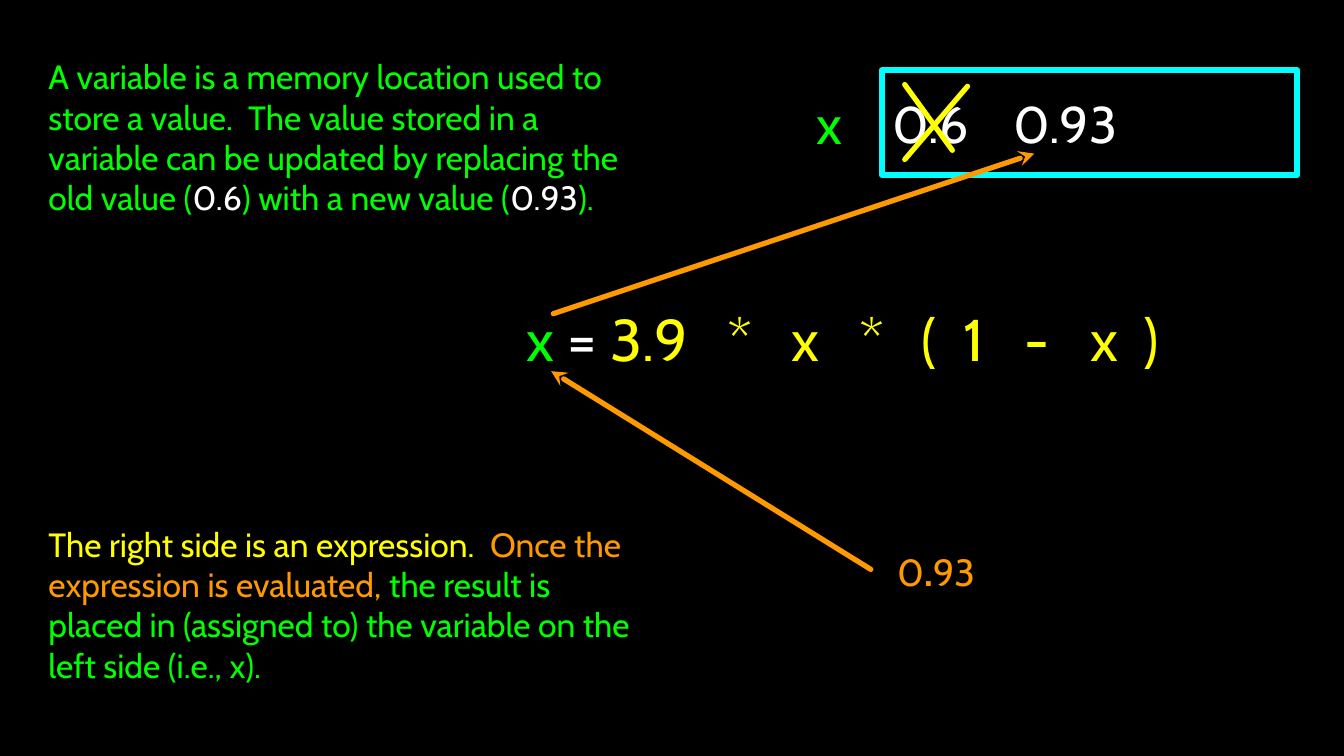
from dataclasses import dataclass
from typing import NamedTuple

from lxml.etree import SubElement
from pptx import Presentation
from pptx.dml.color import RGBColor
from pptx.enum.shapes import MSO_CONNECTOR, MSO_SHAPE
from pptx.enum.text import MSO_ANCHOR, MSO_AUTO_SIZE, PP_ALIGN
from pptx.oxml.ns import qn
from pptx.shapes.autoshape import Shape
from pptx.slide import Slide
from pptx.util import Cm, Pt


@dataclass(frozen=True)
class Theme:
    font: str = "Cabin"
    background: RGBColor = RGBColor(0, 0, 0)
    variable: RGBColor = RGBColor(0x00, 0xFF, 0x00)
    expression: RGBColor = RGBColor(0xFF, 0xFF, 0x00)
    result: RGBColor = RGBColor(0xFF, 0x99, 0x00)
    value: RGBColor = RGBColor(0xFF, 0xFF, 0xFF)
    memory: RGBColor = RGBColor(0x00, 0xFF, 0xFF)
    equation_size: int = 56
    label_size: int = 52
    memory_size: int = 49
    result_size: int = 36
    prose_size: int = 32
    stroke: int = 5
    memory_stroke: int = 6


THEME = Theme()


class Box(NamedTuple):
    left: float
    top: float
    width: float
    height: float


class Point(NamedTuple):
    x: float
    y: float


class Span(NamedTuple):
    text: str
    color: RGBColor
    bold: bool | None = None


@dataclass(frozen=True)
class Passage:
    box: Box
    size: int
    spans: tuple[Span, ...]
    align: PP_ALIGN = PP_ALIGN.LEFT
    tabs: tuple[float, ...] = ()
    indent: float = 0


@dataclass(frozen=True)
class Stroke:
    start: Point
    end: Point
    color: RGBColor
    arrow: bool = False


EQUATION = Passage(
    Box(17.68, 10.08, 24.56, 2.54), THEME.equation_size,
    (Span("x ", THEME.variable), Span("= ", THEME.value),
     Span("3.9\t*\tx\t*\t(\t1\t-\tx\t)", THEME.expression)),
    tabs=(6.75, 8.9, 11.2, 13.3, 14.7, 16.75, 18.95, 20.75),
)
MEMORY = Passage(
    Box(29.64, 2.36, 13.94, 3.53), THEME.memory_size,
    (Span("0.6\t0.93", THEME.value),), tabs=(4.06,), indent=0.36,
)
TEXTS = (
    Passage(Box(27.25, 2.92, 1.24, 2.39), THEME.label_size,
            (Span("x", THEME.variable),), PP_ALIGN.CENTER),
    Passage(Box(1.63, 17.27, 19.86, 6.07), THEME.prose_size, (
        Span("The right side is an expression.  ", THEME.expression),
        Span("Once the expression is evaluated, ", THEME.result),
        Span("the result is placed in (assigned to) the variable on the left side (i.e., x).",
             THEME.variable),
    )),
    Passage(Box(29.59, 18.34, 3.73, 1.73), THEME.result_size, (
        Span("0", THEME.result), Span(".", THEME.result, True), Span("93", THEME.result),
    ), PP_ALIGN.CENTER),
    Passage(Box(1.63, 0.84, 19.46, 7.52), THEME.prose_size, (
        Span("A variable is a memory location used to store a value.  The value stored in a "
             "variable can be updated by replacing the old value (", THEME.variable),
        Span("0.6", THEME.value),
        Span(") with a new value (", THEME.variable),
        Span("0.93", THEME.value),
        Span(").", THEME.variable),
    )),
)
STROKES = (
    Stroke(Point(29.26, 19.13), Point(18.52, 12.47), THEME.result, arrow=True),
    Stroke(Point(18.59, 10.54), Point(34.75, 5.16), THEME.result, arrow=True),
    Stroke(Point(32.51, 2.9), Point(30.4, 5.36), THEME.expression),
    Stroke(Point(30.4, 2.84), Point(32, 5.05), THEME.expression),
)


def write(shape: Shape, passage: Passage) -> None:
    """Fill a shape with one paragraph of coloured spans."""
    frame = shape.text_frame
    frame.auto_size = MSO_AUTO_SIZE.NONE
    frame.word_wrap = True
    frame.vertical_anchor = MSO_ANCHOR.MIDDLE
    frame.margin_left = Cm(passage.indent)
    frame.margin_top = frame.margin_right = frame.margin_bottom = 0
    paragraph = frame.paragraphs[0]
    paragraph.alignment = passage.align
    if passage.tabs:
        stops = SubElement(paragraph._p.get_or_add_pPr(), qn("a:tabLst"))
        for position in passage.tabs:
            SubElement(stops, qn("a:tab"), pos=str(Cm(position)), algn="l")
    paragraph.font.name = THEME.font
    paragraph.font.size = Pt(passage.size)
    for span in passage.spans:
        run = paragraph.add_run()
        run.text = span.text
        run.font.color.rgb = span.color
        run.font.bold = span.bold


def add_equation(slide: Slide, passage: Passage) -> None:
    title = slide.shapes.title
    title.left, title.top, title.width, title.height = map(Cm, passage.box)
    write(title, passage)


def add_memory(slide: Slide, passage: Passage) -> None:
    memory = slide.shapes.add_shape(MSO_SHAPE.RECTANGLE, *map(Cm, passage.box))
    memory.shadow.inherit = False
    memory.fill.background()
    memory.line.color.rgb = THEME.memory
    memory.line.width = Pt(THEME.memory_stroke)
    SubElement(memory.line._get_or_add_ln(), qn("a:round"))
    write(memory, passage)


def add_text(slide: Slide, passage: Passage) -> None:
    write(slide.shapes.add_textbox(*map(Cm, passage.box)), passage)


def add_stroke(slide: Slide, stroke: Stroke) -> None:
    """Draw a round-capped line, with an arrowhead at its end if asked."""
    connector = slide.shapes.add_connector(
        MSO_CONNECTOR.STRAIGHT, *map(Cm, (*stroke.start, *stroke.end)))
    connector.line.color.rgb = stroke.color
    connector.line.width = Pt(THEME.stroke)
    line = connector.line._get_or_add_ln()
    line.set("cap", "rnd")
    if stroke.arrow:
        SubElement(line, qn("a:tailEnd"), type="stealth")
    SubElement(connector._element.spPr, qn("a:effectLst"))


def main() -> None:
    presentation = Presentation()
    presentation.slide_width, presentation.slide_height = Cm(45.16), Cm(25.4)
    title_only = presentation.slide_layouts[5]
    slide = presentation.slides.add_slide(title_only)
    slide.background.fill.solid()
    slide.background.fill.fore_color.rgb = THEME.background
    add_equation(slide, EQUATION)
    add_memory(slide, MEMORY)
    for passage in TEXTS:
        add_text(slide, passage)
    for stroke in STROKES:
        add_stroke(slide, stroke)
    presentation.save("out.pptx")


if __name__ == "__main__":
    main()
